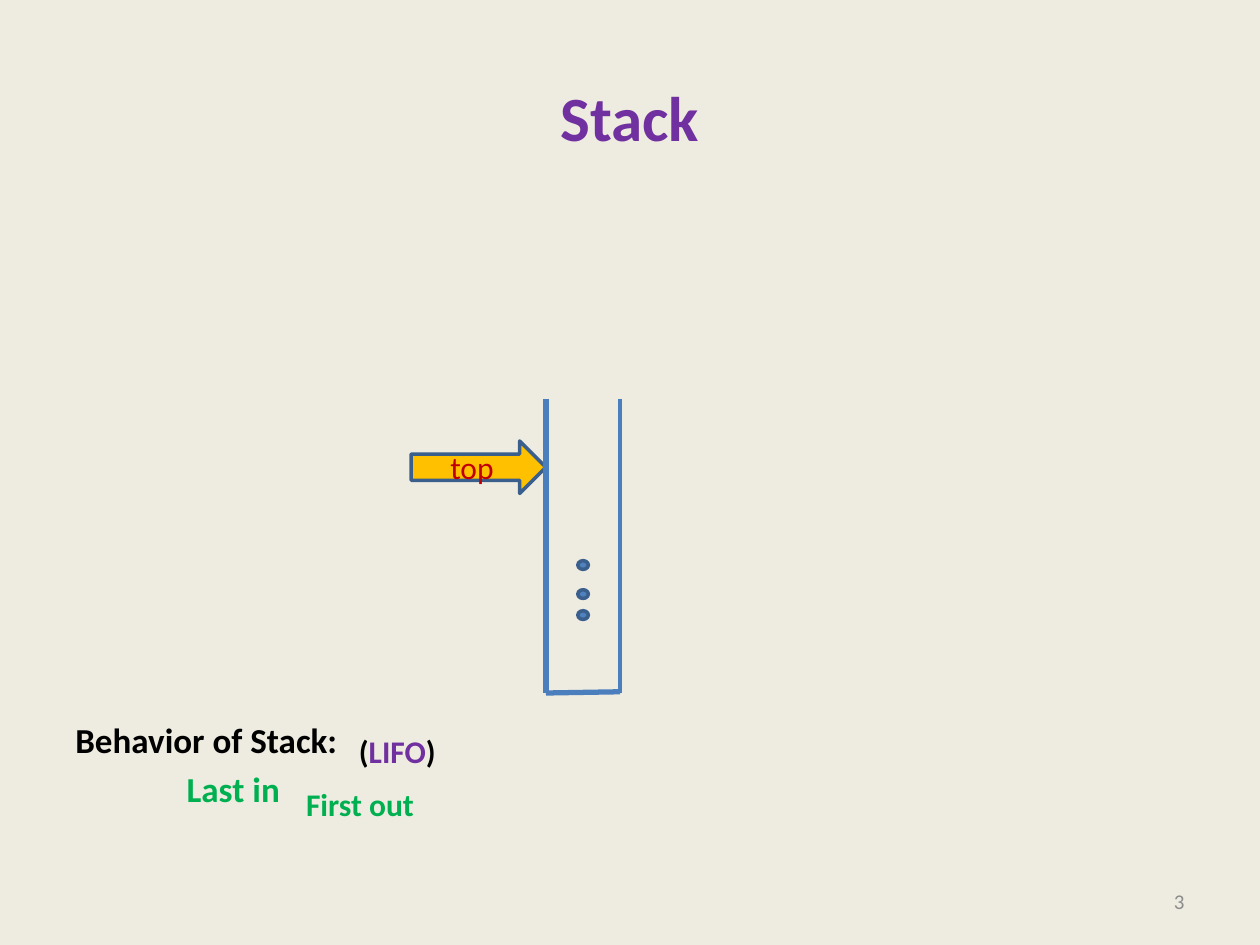
"""Build the slide that shows a stack and its last-in, first-out behavior."""
from lxml.etree import SubElement
from pptx import Presentation
from pptx.dml.color import RGBColor
from pptx.enum.shapes import MSO_CONNECTOR, MSO_SHAPE
from pptx.enum.text import MSO_ANCHOR, PP_ALIGN
from pptx.oxml.ns import qn
from pptx.util import Pt

BACKGROUND = RGBColor(0xEE, 0xEC, 0xE1)
PURPLE = RGBColor(0x70, 0x30, 0xA0)
GREEN = RGBColor(0x00, 0xB0, 0x50)
BLACK = RGBColor(0x00, 0x00, 0x00)
GRAY = RGBColor(0x8C, 0x8C, 0x8C)
RED = RGBColor(0xC0, 0x00, 0x00)
GOLD = RGBColor(0xFF, 0xC0, 0x00)
BLUE = RGBColor(0x4F, 0x81, 0xBD)
WALL_BLUE = RGBColor(0x4B, 0x7E, 0xBC)
OUTLINE_BLUE = RGBColor(0x3A, 0x5F, 0x8C)

STACK_LEFT, STACK_RIGHT = 312, 354.4
STACK_TOP, STACK_BOTTOM = 228, 396
DOT_WIDTH, DOT_HEIGHT = 6, 5
DOT_TOPS = (320.4, 337, 349)


def style_paragraph(paragraph, size, color, bold=False, align=PP_ALIGN.LEFT):
    """Set the alignment and font that all runs of a paragraph share."""
    paragraph.alignment = align
    paragraph.font.name = "Calibri"
    paragraph.font.size = Pt(size)
    paragraph.font.bold = bold
    paragraph.font.color.rgb = color


def add_text(page, bounds, text, size, color, bold=True, align=PP_ALIGN.LEFT,
             anchor=MSO_ANCHOR.TOP, wrap=True):
    """Add a text box with one paragraph and return its text frame."""
    frame = page.shapes.add_textbox(*map(Pt, bounds)).text_frame
    frame.word_wrap = wrap
    frame.vertical_anchor = anchor
    paragraph = frame.paragraphs[0]
    paragraph.text = text
    style_paragraph(paragraph, size, color, bold, align)
    return frame


def add_outlined_shape(page, kind, bounds, fill):
    """Add a filled preset shape with the dark blue outline."""
    shape = page.shapes.add_shape(kind, *map(Pt, bounds))
    shape.shadow.inherit = False
    shape.fill.solid()
    shape.fill.fore_color.rgb = fill
    shape.line.color.rgb = OUTLINE_BLUE
    shape.line.width = Pt(2)
    return shape


def add_wall(page, start, end, width):
    """Draw one straight wall of the stack."""
    wall = page.shapes.add_connector(MSO_CONNECTOR.STRAIGHT, *map(Pt, start + end))
    wall.line.color.rgb = WALL_BLUE
    wall.line.width = Pt(width)
    SubElement(wall._element.spPr, qn("a:effectLst"))


def add_stack(page):
    """Draw the dots, the pointer to the top and the open container."""
    dot_left = (STACK_LEFT + STACK_RIGHT - DOT_WIDTH) / 2
    for top in DOT_TOPS:
        add_outlined_shape(page, MSO_SHAPE.OVAL, (dot_left, top, DOT_WIDTH, DOT_HEIGHT), BLUE)

    pointer = add_outlined_shape(page, MSO_SHAPE.RIGHT_ARROW, (235, 252, 77, 30), GOLD)
    pointer.text_frame.vertical_anchor = MSO_ANCHOR.MIDDLE
    label = pointer.text_frame.paragraphs[0]
    label.text = "top"
    style_paragraph(label, 18, RED, align=PP_ALIGN.CENTER)

    add_wall(page, (STACK_LEFT, STACK_TOP), (STACK_LEFT, STACK_BOTTOM), 3)
    add_wall(page, (STACK_RIGHT, STACK_TOP), (STACK_RIGHT, STACK_BOTTOM), 2.25)
    add_wall(page, (STACK_LEFT, STACK_BOTTOM), (STACK_RIGHT, STACK_BOTTOM - 0.7), 3)


def add_behavior(page):
    """Write the behavior lines below the stack."""
    frame = add_text(page, (36, 407, 648, 75), "Behavior of Stack:", 20, BLACK)
    last_in = frame.add_paragraph()
    last_in.text = "Last in"
    last_in.space_before = Pt(4)
    last_in._p.get_or_add_pPr().set("marL", str(Pt(63.6)))
    style_paragraph(last_in, 20, GREEN, bold=True)

    add_text(page, (167.8, 445, 77, 29), "First out", 18, GREEN, wrap=False)
    lifo = add_text(page, (198, 414.7, 59, 29), "(", 18, BLACK, wrap=False).paragraphs[0]
    span = lifo.add_run()
    span.text = "LIFO"
    span.font.color.rgb = PURPLE
    lifo.add_run().text = ")"


def main():
    """Build and save the deck."""
    deck = Presentation()
    deck.slide_width, deck.slide_height = Pt(720), Pt(540)
    page = deck.slides.add_slide(deck.slide_layouts[6])
    page.background.fill.solid()
    page.background.fill.fore_color.rgb = BACKGROUND

    add_text(page, (36, 21.6, 648, 90), "Stack", 36, PURPLE,
             align=PP_ALIGN.CENTER, anchor=MSO_ANCHOR.MIDDLE)
    add_text(page, (516, 500.5, 168, 28.8), "3", 12, GRAY, bold=False,
             align=PP_ALIGN.RIGHT, anchor=MSO_ANCHOR.MIDDLE)
    add_stack(page)
    add_behavior(page)
    deck.save("out.pptx")


if __name__ == "__main__":
    main()
